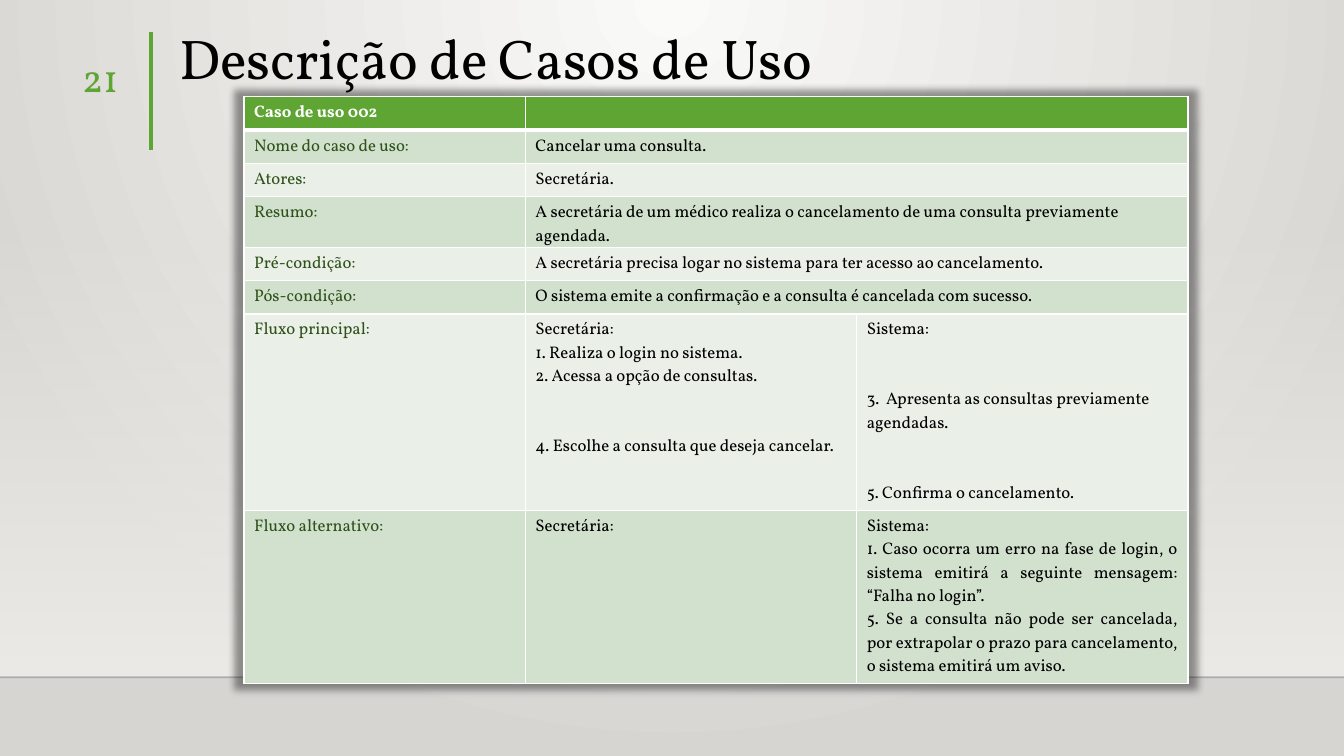
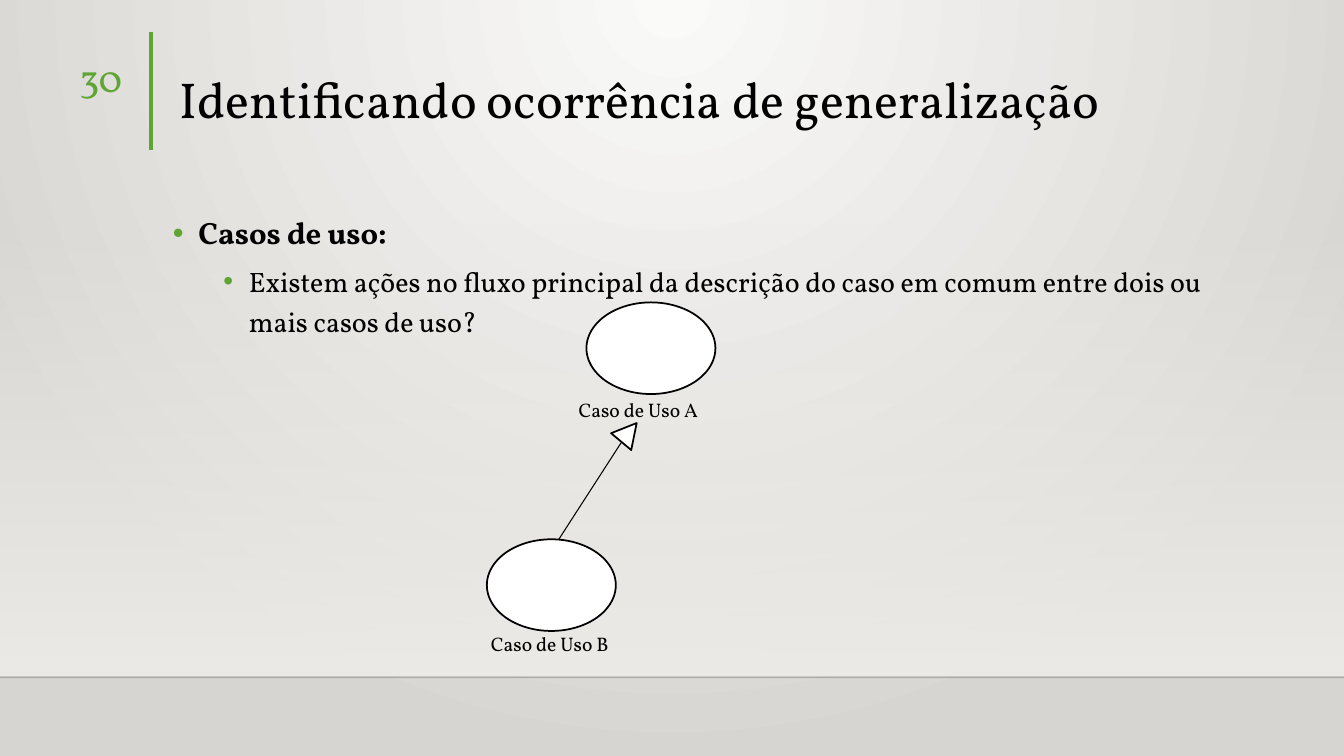
from lxml.etree import SubElement
from pptx import Presentation
from pptx.dml.color import RGBColor
from pptx.enum.shapes import MSO_CONNECTOR, MSO_SHAPE
from pptx.enum.text import MSO_ANCHOR, PP_ALIGN
from pptx.oxml import parse_xml
from pptx.oxml.ns import nsdecls, qn
from pptx.util import Cm, Pt

COLORS = {
    "text": "000000", "white": "FFFFFF", "green": "5FA534",
    "label": "2F521A", "band": "D2E1CE", "light": "EAF0E8",
    "center": "FAFAF9", "edge": "D7D5D2", "wall": "EDEBE7", "floor": "000001",
}
FONT = "Vollkorn"
SLIDE_W, SLIDE_H = 33.87, 19.05


def rgb(name):
    return RGBColor.from_string(COLORS[name])


def set_alpha(color_parent, percent):
    color = next(color_parent.iter(qn("a:srgbClr")))
    SubElement(color, qn("a:alpha"), val=str(percent * 1000))


class Deck:
    def __init__(self):
        self.presentation = Presentation()
        self.presentation.slide_width = Cm(SLIDE_W)
        self.presentation.slide_height = Cm(SLIDE_H)
        self.slide = None

    def start(self, title, size, title_top, title_height, number, number_left):
        self.slide = self.presentation.slides.add_slide(self.presentation.slide_layouts[6])
        self.backdrop()
        heading = self.text_box(4.27, title_top, 26.44, title_height, MSO_ANCHOR.BOTTOM)
        heading.paragraphs[0].line_spacing = 0.9
        self.run(heading.paragraphs[0], title, size)
        page = self.text_box(number_left, 1.22, 2.26, 1.4).paragraphs[0]
        page.alignment = PP_ALIGN.RIGHT
        self.run(page, number, 28, "green")

    def gradient(self, fill, *names):
        fill.gradient()
        for stop, name in zip(fill.gradient_stops, names):
            stop.color.rgb = rgb(name)

    def backdrop(self):
        background = self.slide.background
        self.gradient(background.fill, "center", "edge")
        glow = next(background._cSld.iter(qn("a:gradFill")))
        glow.remove(glow.find(qn("a:lin")))
        focus = SubElement(glow, qn("a:path"), path="circle")
        SubElement(focus, qn("a:fillToRect"), l="43000", t="0", r="43000", b="100000")

        wall = self.shape(MSO_SHAPE.RECTANGLE, 0, 5.59, SLIDE_W, 11.43)
        self.gradient(wall.fill, "wall", "wall")
        wall.fill.gradient_angle = 270
        set_alpha(next(wall._element.iter(qn("a:gs"))), 0)
        wall.line.fill.background()

        floor = self.line(0, 17.07, SLIDE_W, 17.07, "floor", 1)
        set_alpha(floor.line._ln, 20)
        self.line(3.81, 0.81, 3.81, 3.78, "green", 3)

    def shape(self, kind, left, top, width, height, rotation=0):
        shape = self.slide.shapes.add_shape(kind, Cm(left), Cm(top), Cm(width), Cm(height))
        shape.shadow.inherit = False
        shape.rotation = rotation
        shape.fill.solid()
        shape.fill.fore_color.rgb = rgb("white")
        shape.line.color.rgb = rgb("text")
        shape.line.width = Pt(1.25)
        return shape

    def line(self, x1, y1, x2, y2, color, width):
        line = self.slide.shapes.add_connector(
            MSO_CONNECTOR.STRAIGHT, Cm(x1), Cm(y1), Cm(x2), Cm(y2))
        line.line.color.rgb = rgb(color)
        line.line.width = Pt(width)
        SubElement(line._element.spPr, qn("a:effectLst"))
        return line

    def text_box(self, left, top, width, height, anchor=MSO_ANCHOR.TOP):
        frame = self.slide.shapes.add_textbox(
            Cm(left), Cm(top), Cm(width), Cm(height)).text_frame
        frame.word_wrap = True
        frame.vertical_anchor = anchor
        return frame

    def run(self, paragraph, text, size, color="text", bold=False):
        run = paragraph.add_run()
        run.text = text
        run.font.name = FONT
        run.font.size = Pt(size)
        run.font.bold = bold
        run.font.color.rgb = rgb(color)

    def label(self, text, left, top, width):
        self.run(self.text_box(left, top, width, 0.86).paragraphs[0], text, 14)

    def bullets(self, left, top, width, height, items):
        frame = self.text_box(left, top, width, height)
        for index, (text, size, bold, indent, before) in enumerate(items):
            paragraph = frame.paragraphs[0] if index == 0 else frame.add_paragraph()
            paragraph.line_spacing = 1.2
            paragraph.space_before = Pt(before)
            properties = paragraph._p.get_or_add_pPr()
            properties.set("marL", str(Cm(indent)))
            properties.set("indent", str(-Cm(0.64)))
            color = SubElement(properties, qn("a:buClr"))
            SubElement(color, qn("a:srgbClr"), val=COLORS["green"])
            SubElement(properties, qn("a:buFont"), typeface="Arial")
            SubElement(properties, qn("a:buChar"), char="•")
            self.run(paragraph, text, size, bold=bold)

    def table(self, left, top, widths, heights, rows):
        frame = self.slide.shapes.add_table(
            len(rows), len(widths), Cm(left), Cm(top), Cm(sum(widths)), Cm(sum(heights)))
        table = frame.table
        table.horz_banding = False
        table._tbl.tblPr.insert(0, parse_xml(
            f'<a:effectLst {nsdecls("a")}><a:outerShdw blurRad="63500" sx="102000" '
            'sy="102000" algn="ctr" rotWithShape="0"><a:prstClr val="black">'
            '<a:alpha val="40000"/></a:prstClr></a:outerShdw></a:effectLst>'))
        for column, width in zip(table.columns, widths):
            column.width = Cm(width)
        for r, (height, contents) in enumerate(zip(heights, rows)):
            table.rows[r].height = Cm(height)
            if len(contents) < len(widths):
                table.cell(r, 1).merge(table.cell(r, 2))
            fill = "green" if r == 0 else "band" if r % 2 else "light"
            for c in range(len(widths)):
                cell = table.cell(r, c)
                color = "white" if r == 0 else "label" if c == 0 else "text"
                self.fill_cell(cell, contents[c] if c < len(contents) else "", color, r == 0)
                cell.fill.solid()
                cell.fill.fore_color.rgb = rgb(fill)
                self.borders(cell, 3 if r == 0 else 1, 3 if r == 1 else 1)

    def fill_cell(self, cell, content, color, bold):
        steps = [content] if isinstance(content, str) else content
        for index, step in enumerate(steps):
            text, before, align = (step, 0, None) if isinstance(step, str) else step
            frame = cell.text_frame
            paragraph = frame.paragraphs[0] if index == 0 else frame.add_paragraph()
            if not text:
                SubElement(paragraph._p, qn("a:endParaRPr"), sz="1200")
                continue
            paragraph.space_before = Pt(before)
            paragraph.alignment = align
            self.run(paragraph, text, 12, color, bold)

    def borders(self, cell, bottom, top):
        sides = {"L": 1, "R": 1, "T": top, "B": bottom}
        for position, (side, width) in enumerate(sides.items()):
            cell._tc.get_or_add_tcPr().insert(position, parse_xml(
                f'<a:ln{side} {nsdecls("a")} w="{Pt(width)}"><a:solidFill>'
                f'<a:srgbClr val="{COLORS["white"]}"/></a:solidFill></a:ln{side}>'))


def later(text):
    return text, 33.3, None


def justified(text):
    return text, 0, PP_ALIGN.JUSTIFY


deck = Deck()

deck.start("Descrição de Casos de Uso", 40, 0.28, 2.16, "21", 0.97)
use_case = [
    ("Caso de uso 002", ""),
    ("Nome do caso de uso:", "Cancelar uma consulta."),
    ("Atores:", "Secretária."),
    ("Resumo:", "A secretária de um médico realiza o cancelamento de uma consulta "
                "previamente agendada."),
    ("Pré-condição:", "A secretária precisa logar no sistema para ter acesso ao cancelamento."),
    ("Pós-condição:", "O sistema emite a confirmação e a consulta é cancelada com sucesso."),
    ("Fluxo principal:",
     ["Secretária:", "1. Realiza o login no sistema.", "2. Acessa a opção de consultas.",
      later("4. Escolhe a consulta que deseja cancelar.")],
     ["Sistema:", later("3.  Apresenta as consultas previamente agendadas."),
      later("5. Confirma o cancelamento.")]),
    ("Fluxo alternativo:", "Secretária:",
     ["Sistema:",
      justified("1. Caso ocorra um erro na fase de login, o sistema emitirá a seguinte "
                "mensagem: “Falha no login”."),
      justified("5. Se a consulta não pode ser cancelada, por extrapolar o prazo para "
                "cancelamento, o sistema emitirá um aviso.")]),
]
deck.table(6.15, 2.44, [7.09, 8.35, 8.35],
           [0.84, 0.84, 0.84, 1.17, 0.84, 0.84, 4.95, 4.37], use_case)

deck.start("Identificando ocorrência de generalização", 36, 0.46, 2.92, "30", 1.07)
deck.bullets(4.11, 5.08, 26.44, 10.85, [
    ("Casos de uso:", 22, True, 0.64, 10),
    ("Existem ações no fluxo principal da descrição do caso em comum entre dois ou "
     "mais casos de uso?", 20, False, 1.91, 5),
])
deck.shape(MSO_SHAPE.ISOSCELES_TRIANGLE, 15.52, 10.59, 0.66, 0.61, 39.9)
deck.line(14.05, 13.64, 15.67, 11.13, "text", 0.75)
deck.label("Caso de Uso B", 12.12, 15.8, 4.19)
deck.label("Caso de Uso A", 14.33, 9.91, 3.91)
for left, top in [(12.27, 13.59), (14.78, 7.62)]:
    deck.shape(MSO_SHAPE.OVAL, left, top, 3.25, 2.31)

deck.presentation.save("out.pptx")
